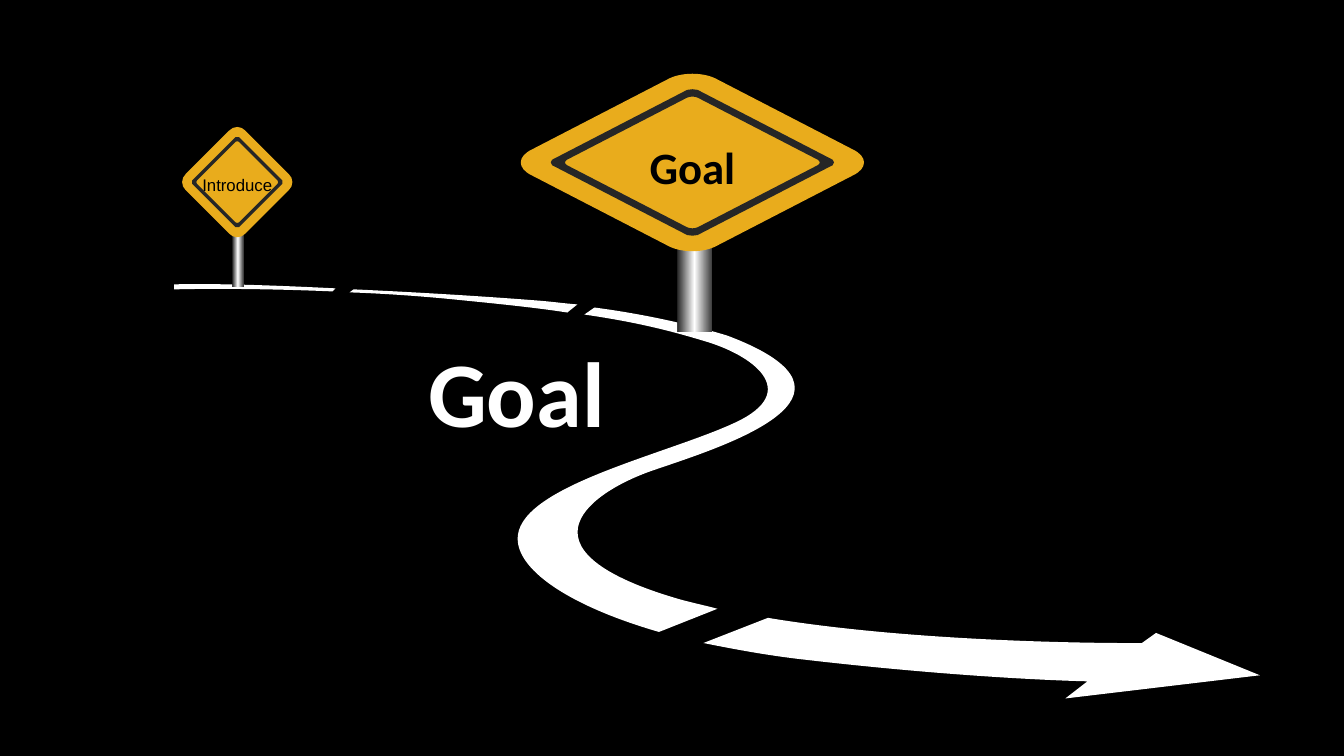
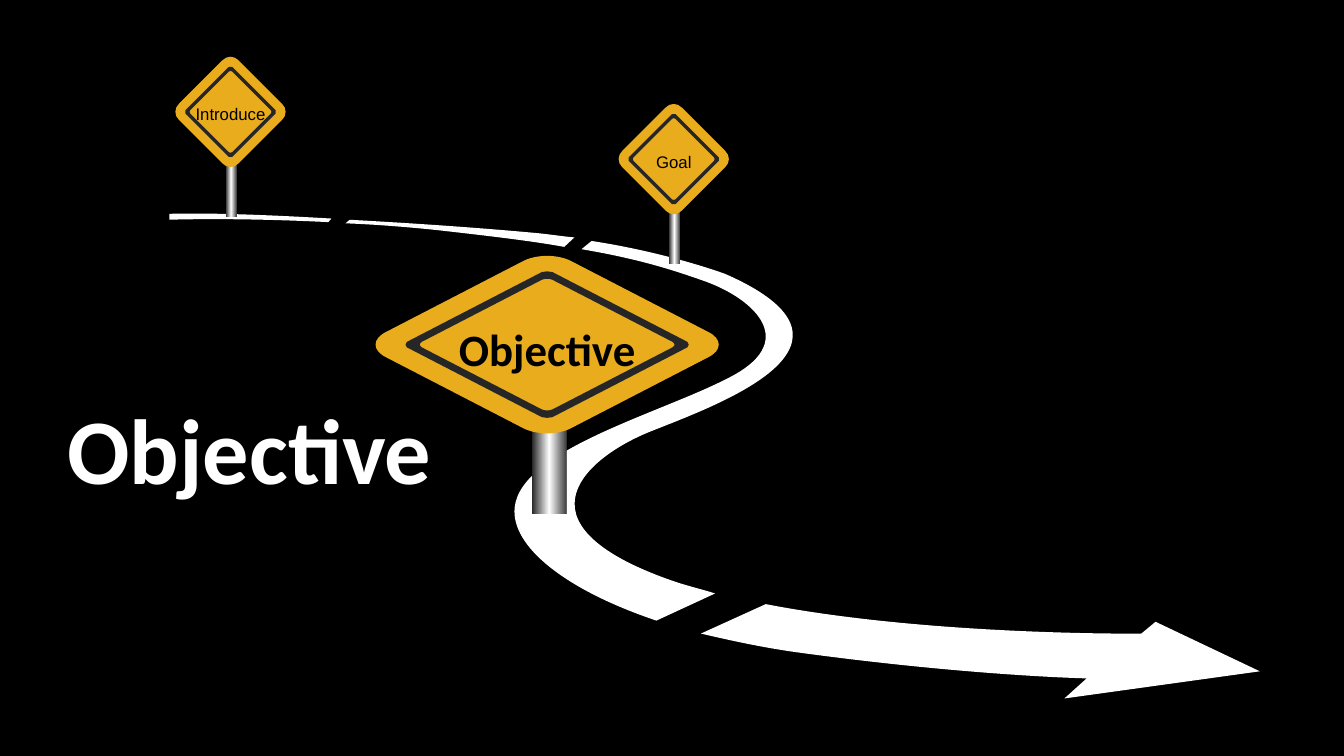
from copy import deepcopy
from dataclasses import dataclass
from typing import NamedTuple

from pptx import Presentation
from pptx.dml.color import RGBColor
from pptx.enum.shapes import MSO_SHAPE
from pptx.enum.text import MSO_ANCHOR, MSO_AUTO_SIZE, PP_ALIGN
from pptx.oxml.ns import qn
from pptx.util import Cm, Pt

# Colours
BLACK = RGBColor(0x00, 0x00, 0x00)
WHITE = RGBColor(0xFF, 0xFF, 0xFF)
AMBER = RGBColor(0xE9, 0xAC, 0x1C)
DARK = RGBColor(0x26, 0x26, 0x26)
GREY = RGBColor(0x40, 0x40, 0x40)


class Point(NamedTuple):
    x: float
    y: float


# A ring is a closed outline; a step of one point is straight, of three a curve
Step = tuple[Point, ...]
Ring = list[Step]


class Box(NamedTuple):
    """Left, top, width and height in centimetres."""
    x: float
    y: float
    w: float
    h: float

    def place(self, u: float, v: float) -> Point:
        return Point(self.x + u * self.w, self.y + v * self.h)


@dataclass(frozen=True)
class Style:
    w: float
    h: float
    label: float  # label height
    size: int
    font: str
    bold: bool


SMALL = Style(2.84, 2.84, 0.76, 12, "Arial", False)
LARGE = Style(8.84, 4.57, 1.63, 32, "Calibri", True)


@dataclass(frozen=True)
class Sign:
    text: str
    style: Style
    x: float
    y: float


@dataclass(frozen=True)
class Scene:
    title: str
    spot: Box
    road: Box
    signs: tuple[Sign, ...]


SCENES = (
    Scene("Goal", Box(10.54, 8.33, 5, 3.07), Box(4.39, 7.14, 27.36, 10.46), (
        Sign("Introduce", SMALL, 4.56, 3.17),
        Sign("Goal", LARGE, 13.03, 1.81),
    )),
    Scene("Objective", Box(1.45, 9.75, 9.8, 3.07), Box(4.27, 5.36, 27.48, 12.24), (
        Sign("Goal", SMALL, 15.56, 2.59),
        Sign("Introduce", SMALL, 4.39, 1.4),
        Sign("Objective", LARGE, 9.37, 6.4),
    )),
)

# Road on its own grid
GRID = Box(173, 281, 1077, 412)
ROAD = (
    (  # bend
        ((669, 593),),
        ((506, 544), (587, 487), (650, 466)),
        ((714, 444), (881, 393), (722, 333)),
        ((722, 333), (666, 315), (590, 305)),
        ((580, 312),),
        ((635, 320), (668, 329), (698, 338)),
        ((747, 352), (796, 388), (730, 419)),
        ((664, 450), (520, 481), (514, 531)),
        ((510, 564), (564, 601), (654, 627)),
        ((712, 604),),
        ((697, 600), (682, 597), (669, 593)),
    ),
    (  # far end
        ((173, 282),),
        ((173, 287),),
        ((173, 287), (235, 285), (330, 289)),
        ((333, 286),),
        ((273, 283), (216, 281), (173, 282)),
    ),
    (  # middle
        ((532, 298),),
        ((481, 294), (416, 290), (351, 287)),
        ((347, 290),),
        ((376, 291), (407, 293), (440, 296)),
        ((491, 301), (531, 305), (563, 310)),
        ((573, 302),),
        ((560, 301), (546, 299), (532, 298)),
    ),
    (  # arrow
        ((1250, 670),),
        ((1147, 628),),
        ((1133, 638),),
        ((1133, 638), (925, 640), (762, 613)),
        ((698, 638),),
        ((728, 644), (760, 650), (794, 654)),
        ((965, 674), (1079, 676), (1079, 676)),
        ((1057, 693),),
    ),
)


def diamond(tip: float, edge: float, side: float, bend: float) -> Ring:
    """Round-tipped diamond in a unit box: one corner turned four times."""
    corner = [(edge, -side), (tip, -bend), (tip, bend), (edge, side)]
    ring: Ring = []
    for _ in range(4):
        spots = tuple(Point(0.5 + x / 2, 0.5 + y / 2) for x, y in corner)
        ring += [spots[:1], spots[1:]]
        corner = [(-y, x) for x, y in corner]
    return ring


PLATE = [diamond(1, 0.914, 0.144, 0.066)]
FRAME = [diamond(0.81, 0.8, 0.03, 0.01), diamond(0.73, 0.715, 0.03, 0.01)]


def draw(shapes, rings: list[Ring], box: Box, color: RGBColor) -> None:
    """Fill closed outlines given as fractions of the box."""
    pen = None
    for ring in rings:
        start, *rest = [tuple(int(Cm(n)) for n in box.place(*p))
                        for step in ring for p in step]
        if pen is None:
            pen = shapes.build_freeform(*start, scale=1.0)
        else:
            pen.move_to(*start)
        pen.add_line_segments(rest, close=True)
    form = pen.convert_to_shape()
    # Join the three lines of each curved step into one Bezier curve
    lines = iter(list(form.element.iter(qn("a:lnTo"))))
    for step in (step for ring in rings for step in ring[1:]):
        head = next(lines)
        if len(step) == 3:
            head.tag = qn("a:cubicBezTo")
            for _ in range(2):
                line = next(lines)
                head.append(line[0])
                line.getparent().remove(line)
    form.shadow.inherit = False
    form.fill.solid()
    form.fill.fore_color.rgb = color
    form.line.fill.background()


def write(shapes, text: str, box: Box, *, size: int, font: str = "Calibri",
          bold: bool = True, color: RGBColor = BLACK, wrap: bool = True,
          align: PP_ALIGN = PP_ALIGN.CENTER,
          anchor: MSO_ANCHOR = MSO_ANCHOR.MIDDLE) -> None:
    frame = shapes.add_textbox(*map(Cm, box)).text_frame
    frame.word_wrap = wrap
    frame.auto_size = MSO_AUTO_SIZE.SHAPE_TO_FIT_TEXT
    frame.vertical_anchor = anchor
    para = frame.paragraphs[0]
    para.alignment = align
    run = para.add_run()
    run.text = text
    run.font.size = Pt(size)
    run.font.name = font
    run.font.bold = bold
    run.font.color.rgb = color


def add_pole(shapes, box: Box) -> None:
    pole = shapes.add_shape(MSO_SHAPE.RECTANGLE, *map(Cm, box))
    pole.shadow.inherit = False
    pole.line.fill.background()
    fill = pole.fill
    fill.gradient()
    fill.gradient_angle = 0
    # A new gradient has two stops; the shine needs a third
    stops = pole.element.spPr.find(".//" + qn("a:gsLst"))
    stops.append(deepcopy(stops[-1]))
    shine = ((0, DARK), (0.5, WHITE), (1, GREY))
    for stop, (spot, color) in zip(fill.gradient_stops, shine):
        stop.position = spot
        stop.color.rgb = color


def add_sign(slide, sign: Sign) -> None:
    look = sign.style
    box = Box(sign.x, sign.y, look.w, look.h)
    shapes = slide.shapes.add_group_shape().shapes
    add_pole(shapes, Box(*box.place(0.457, 0.96), look.w * 0.098, look.h * 0.475))
    draw(shapes, PLATE, box, AMBER)
    draw(shapes, FRAME, box, DARK)
    left, mid = box.place(0.0625, 0.52)
    write(shapes, sign.text,
          Box(left, mid - look.label / 2, look.w * 0.875, look.label),
          size=look.size, font=look.font, bold=look.bold)


def add_road(slide, box: Box) -> None:
    shapes = slide.shapes.add_group_shape().shapes
    for part in ROAD:
        ring = [tuple(Point((x - GRID.x) / GRID.w, (y - GRID.y) / GRID.h)
                      for x, y in step) for step in part]
        draw(shapes, [ring], box, WHITE)


def main() -> None:
    prs = Presentation()
    prs.slide_width, prs.slide_height = Cm(33.87), Cm(19.05)
    # Shared black ground
    ground = prs.slide_master.background.fill
    ground.solid()
    ground.fore_color.rgb = BLACK
    for scene in SCENES:
        slide = prs.slides.add_slide(prs.slide_layouts[6])
        add_road(slide, scene.road)
        for sign in scene.signs:
            add_sign(slide, sign)
        write(slide.shapes, scene.title, scene.spot, size=66, color=WHITE,
              wrap=False, align=PP_ALIGN.LEFT, anchor=MSO_ANCHOR.TOP)
    prs.save("out.pptx")


if __name__ == "__main__":
    main()
